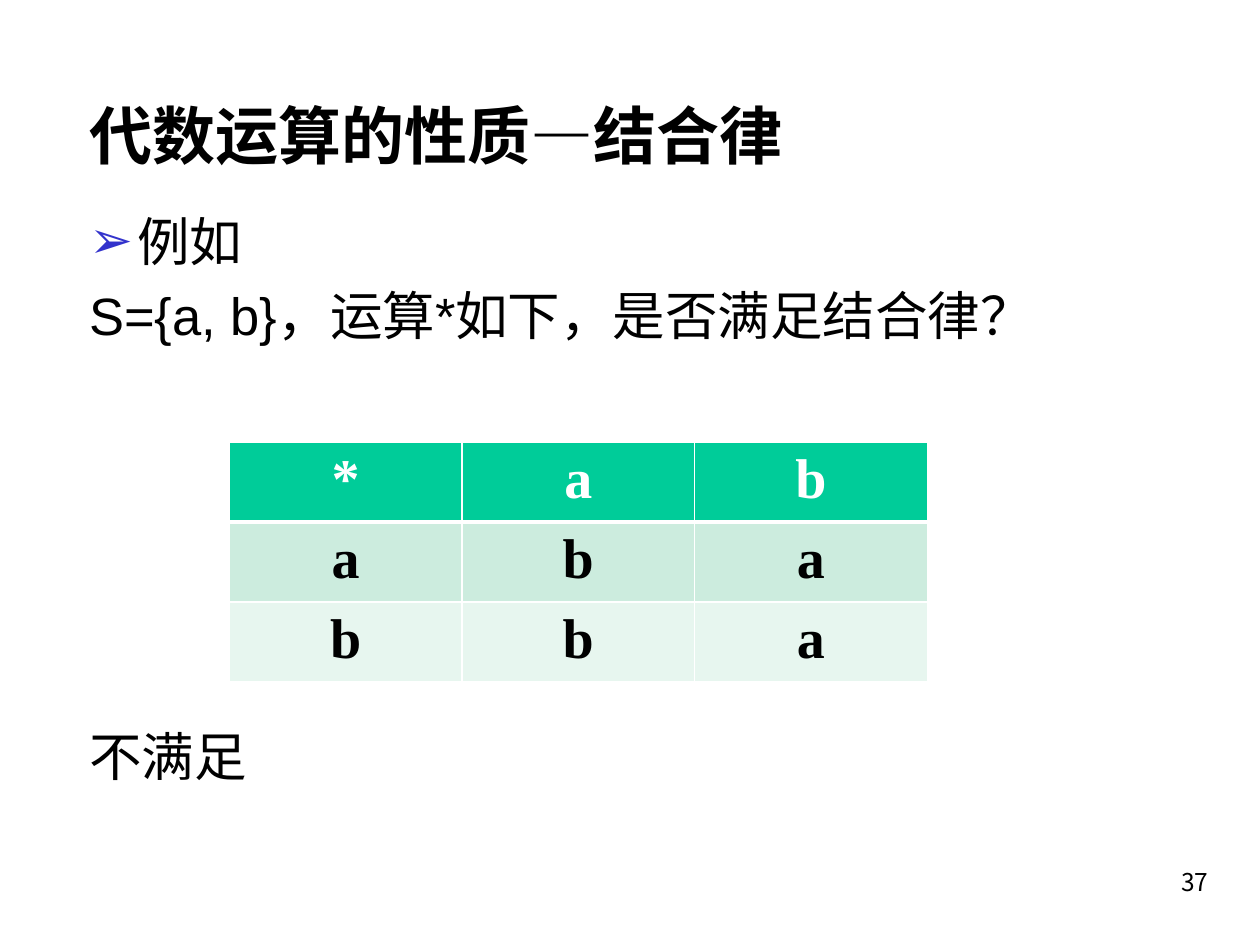
from lxml.etree import SubElement
from pptx import Presentation
from pptx.dml.color import RGBColor as Rgb
from pptx.enum.text import MSO_ANCHOR as Anchor, PP_ALIGN as Align
from pptx.oxml.ns import qn
from pptx.util import Inches, Pt

WIDE, HIGH = Inches(10), Inches(7.5)
HUES = {"ink": "000000", "paper": "FFFFFF", "mark": "3333CC",
        "head": "00CC99", "odd": "CCECDE", "even": "E7F6EF"}
SANS, SERIF, CJK = "Arial", "Times New Roman", "Noto Sans CJK KR"
GRID = ["*ab", "aba", "bba"]


def share(x, y, w, h):
    """Turn shares of the slide into a box of lengths."""
    return int(x * WIDE), int(y * HIGH), int(w * WIDE), int(h * HIGH)


def style(para, size, face, hue="ink", bold=False):
    font = para.font
    font.size, font.name, font.bold = Pt(size), face, bold
    font.color.rgb = Rgb.from_string(HUES[hue])


def frame(slide, box, anchor=Anchor.TOP):
    text = slide.shapes.add_textbox(*box).text_frame
    text.word_wrap = True
    text.vertical_anchor = anchor
    return text


def bullet(para, mark, hue, indent):
    props = para._p.get_or_add_pPr()
    props.set("marL", str(indent))
    props.set("indent", str(-indent))
    tint = SubElement(props, qn("a:buClr"))
    SubElement(tint, qn("a:srgbClr"), val=HUES[hue])
    SubElement(props, qn("a:buFont"), typeface=SANS)
    SubElement(props, qn("a:buChar"), char=mark)


def title(slide, box):
    para = frame(slide, box, Anchor.MIDDLE).paragraphs[0]
    para.text = "代数运算的性质—结合律"
    style(para, 36, SANS, bold=True)


def body(slide, box):
    """Place the example and, below the room for the table, its answer."""
    text = frame(slide, box)
    lines = [("例如", 0), ("S={a, b}，运算*如下，是否满足结合律？", 6), ("不满足", 216)]
    for i, (line, gap) in enumerate(lines):
        para = text.add_paragraph() if i else text.paragraphs[0]
        para.text = line
        if gap:
            para.space_before = Pt(gap)
        else:
            bullet(para, "➢", "mark", Inches(0.38))
        style(para, 30, SANS)


def border(cell, side, width):
    line = SubElement(cell._tc.get_or_add_tcPr(), qn(f"a:ln{side}"), w=str(Pt(width)))
    fill = SubElement(line, qn("a:solidFill"))
    SubElement(fill, qn("a:srgbClr"), val=HUES["paper"])


def table(slide, box):
    """Place the operation table in equal columns and rows."""
    grid = slide.shapes.add_table(len(GRID), len(GRID[0]), *box).table
    for r, (row, fill) in enumerate(zip(GRID, ("head", "odd", "even"))):
        for c, sign in enumerate(row):
            cell = grid.cell(r, c)
            for side in "LRTB":
                thick = (r, side) in ((0, "B"), (1, "T"))
                border(cell, side, 3 if thick else 1)
            cell.fill.solid()
            cell.fill.fore_color.rgb = Rgb.from_string(HUES[fill])
            para = cell.text_frame.paragraphs[0]
            para.text = sign
            para.alignment = Align.CENTER
            style(para, 32, SERIF, "ink" if r else "paper", True)


def number(slide, box):
    para = frame(slide, box).paragraphs[0]
    para.text = "37"
    para.alignment = Align.RIGHT
    style(para, 14, CJK)


def main():
    deck = Presentation()
    deck.slide_width, deck.slide_height = WIDE, HIGH
    slide = deck.slides.add_slide(deck.slide_layouts[6])
    body(slide, share(0.061, 0.215, 0.908, 0.667))
    title(slide, share(0.061, 0.077, 0.877, 0.13))
    table(slide, share(0.182, 0.468, 0.554, 0.253))
    number(slide, share(0.761, 0.911, 0.208, 0.067))
    deck.save("out.pptx")


if __name__ == "__main__":
    main()
